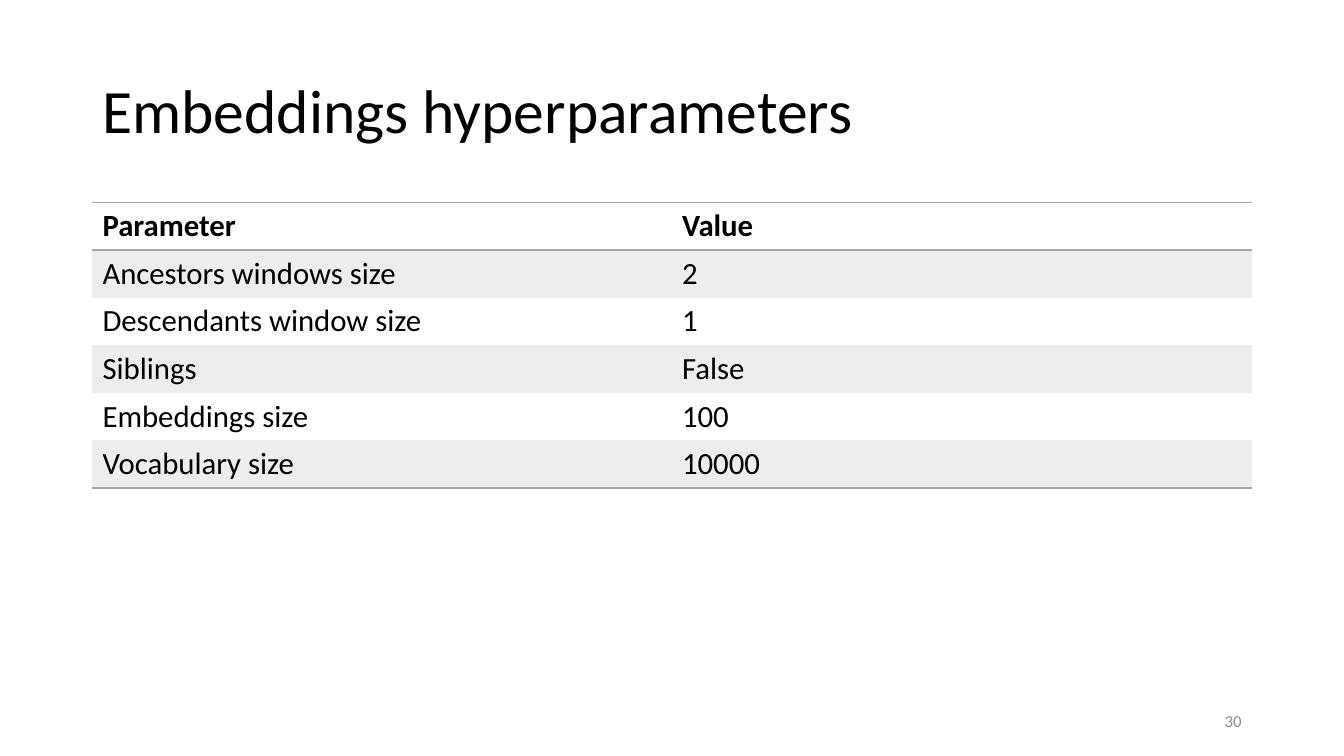
import pptx
import pptx.util
import pptx.dml.color
import pptx.enum.text
import pptx.oxml
import pptx.oxml.ns
from pptx.util import Cm

FONT = "Calibri"
BLACK, GREY, RULE, BAND = "000000", "8C8C8C", "A5A5A5", "EDEDED"
NO_STYLE = "{2D5ABB26-0587-4C30-8999-92F81FD0307C}"
ROWS = [
    ("Parameter", "Value"),
    ("Ancestors windows size", "2"),
    ("Descendants window size", "1"),
    ("Siblings", "False"),
    ("Embeddings size", "100"),
    ("Vocabulary size", "10000"),
]


def rgb(value):
    return pptx.dml.color.RGBColor.from_string(value)


def add_run(p, text, size, color, bold=False):
    r = p.add_run()
    r.text = text
    r.font.name = FONT
    r.font.size = pptx.util.Pt(size)
    r.font.bold = bold
    r.font.color.rgb = rgb(color)


def add_text(s, box, text, size, color, align="LEFT", spacing=1.0):
    tf = s.shapes.add_textbox(*map(Cm, box)).text_frame
    tf.word_wrap = True
    tf.vertical_anchor = pptx.enum.text.MSO_ANCHOR.MIDDLE
    p = tf.paragraphs[0]
    p.alignment = pptx.enum.text.PP_ALIGN[align]
    p.line_spacing = spacing
    add_run(p, text, size, color)


def add_border(cell, side):
    # Borders stand before the fill in the cell properties
    ns = pptx.oxml.ns.nsdecls("a")
    line = pptx.oxml.parse_xml(
        f'<a:{side} {ns} w="12700"><a:solidFill><a:srgbClr val="{RULE}"/>'
        f'</a:solidFill></a:{side}>')
    cell._tc.get_or_add_tcPr().insert(0, line)


def add_parameter_table(s, box):
    columns = len(ROWS[0])
    frame = s.shapes.add_table(len(ROWS), columns, *map(Cm, box))
    table = frame.table
    table._tbl.tblPr.find(pptx.oxml.ns.qn("a:tableStyleId")).text = NO_STYLE
    for i, row in enumerate(ROWS):
        for j, text in enumerate(row):
            cell = table.cell(i, j)
            add_run(cell.text_frame.paragraphs[0], text, 22, BLACK, bold=i == 0)
            # Shade every second row
            if i % 2:
                cell.fill.solid()
                cell.fill.fore_color.rgb = rgb(BAND)
            else:
                cell.fill.background()
            # Rules around the header and under the last row
            if i in (0, len(ROWS) - 1):
                add_border(cell, "lnB")
            if i == 0:
                add_border(cell, "lnT")


def main():
    prs = pptx.Presentation()
    prs.slide_width, prs.slide_height = Cm(33.87), Cm(19.05)
    s = prs.slides.add_slide(prs.slide_layouts[6])
    left, width = 2.33, 29.21

    # Title
    add_text(s, (left, 1.01, width, 3.68), "Embeddings hyperparameters",
             44, BLACK, spacing=0.9)
    # Table
    add_parameter_table(s, (left, 5.1, width, 1.2 * len(ROWS)))
    # Slide number
    add_text(s, (left + width - 7.62, 17.66, 7.62, 1.01), "30", 12, GREY, "RIGHT")

    prs.save("out.pptx")


if __name__ == "__main__":
    main()
